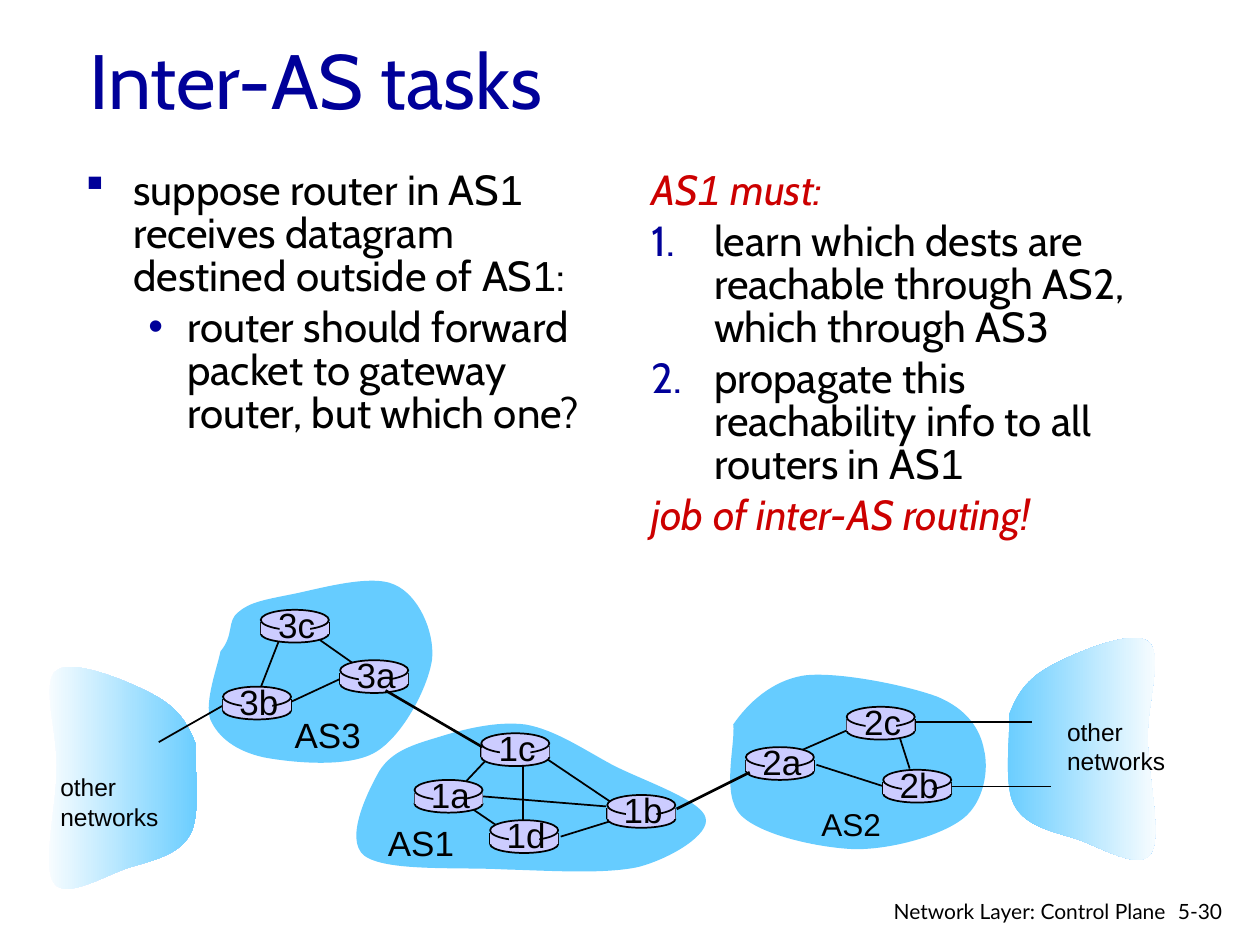
from lxml import etree
from pptx import Presentation
from pptx import util as u
from pptx.dml.color import RGBColor
from pptx.enum import shapes, text
from pptx.oxml import ns

NAVY = RGBColor(0x00, 0x00, 0x99)
RED = RGBColor(0xCC, 0x00, 0x00)
BLACK = RGBColor(0x00, 0x00, 0x00)
WHITE = RGBColor(0xFF, 0xFF, 0xFF)
SKY = RGBColor(0x66, 0xCC, 0xFF)
LILAC = RGBColor(0xCC, 0xCC, 0xFF)
CABIN, ARIAL, LATO = "Cabin", "Arial", "Lato"
OVAL, RECT = shapes.MSO_SHAPE.OVAL, shapes.MSO_SHAPE.RECTANGLE
MID, TOP = text.MSO_ANCHOR.MIDDLE, text.MSO_ANCHOR.TOP
LEFT, RIGHT, CENTER = text.PP_ALIGN.LEFT, text.PP_ALIGN.RIGHT, text.PP_ALIGN.CENTER
MARKS = {"§": "Wingdings", "•": ARIAL}


def inch(n):
    return u.Cm(2.54 * n)


class Deck:
    """Holds the style and the current slide, and draws each kind of element."""

    def __init__(self, wide, high):
        self.pres = Presentation()
        self.pres.slide_width, self.pres.slide_height = inch(wide), inch(high)
        self.slide = self.pres.slides.add_slide(self.pres.slide_layouts[6])
        self.host = self.slide.shapes

    def box(self, place, wrap=True, anchor=TOP, host=None):
        frame = (host or self.host).add_textbox(*map(inch, place)).text_frame
        frame.word_wrap = wrap
        frame.vertical_anchor = anchor
        if not wrap:
            frame.auto_size = text.MSO_AUTO_SIZE.SHAPE_TO_FIT_TEXT
        return frame

    def run(self, para, words, size, font, color=BLACK, slant=False):
        run = para.add_run()
        run.text = words
        run.font.size = u.Pt(size)
        run.font.name = font
        run.font.color.rgb = color
        run.font.italic = slant

    def label(self, place, lines, size, font=ARIAL, color=BLACK, align=LEFT, **opts):
        frame = self.box(place, **opts)
        for i, line in enumerate(lines):
            para = frame.add_paragraph() if i else frame.paragraphs[0]
            para.alignment = align
            self.run(para, line, size, font, color)

    def body(self, place, items):
        frame = self.box(place)
        for i, (level, left, hang, mark, color, runs) in enumerate(items):
            para = frame.add_paragraph() if i else frame.paragraphs[0]
            para.level = level
            para.line_spacing = 0.85
            para.space_before = u.Pt(4.8)
            self.mark(para, left, hang, mark)
            for words, font in runs:
                self.run(para, words, 24, font, color, color == RED)

    def mark(self, para, left, hang, mark):
        props = para._p.get_or_add_pPr()
        props.set("marL", str(inch(left)))
        props.set("indent", str(-inch(hang)))
        if mark:
            tint = etree.SubElement(props, ns.qn("a:buClr"))
            etree.SubElement(tint, ns.qn("a:srgbClr")).set("val", str(NAVY))
            if mark in MARKS:
                etree.SubElement(props, ns.qn("a:buFont")).set("typeface", MARKS[mark])
                etree.SubElement(props, ns.qn("a:buChar")).set("char", mark)
            else:
                etree.SubElement(props, ns.qn("a:buAutoNum")).set("type", "arabicPeriod")

    def shape(self, kind, place, host, edge=False):
        item = host.add_shape(kind, *map(inch, place))
        item.shadow.inherit = False
        item.fill.solid()
        item.fill.fore_color.rgb = LILAC
        if edge:
            item.line.color.rgb = BLACK
            item.line.width = u.Pt(1)
        else:
            item.line.fill.background()

    def link(self, ends, width=1, host=None):
        line = (host or self.host).add_connector(
            shapes.MSO_CONNECTOR.STRAIGHT, *map(inch, ends))
        line.line.color.rgb = BLACK
        line.line.width = u.Pt(width)
        etree.SubElement(line._element.spPr, ns.qn("a:effectLst"))

    def cloud(self, nodes, fade=None):
        dots = [(inch(x), inch(y)) for x, y in nodes]
        pen = self.host.build_freeform(*dots[0])
        pen.add_line_segments(dots[1:], close=True)
        item = pen.convert_to_shape()
        self.bend(item)
        item.shadow.inherit = False
        item.line.fill.background()
        if fade:
            item.fill.gradient()
            item.fill.gradient_angle = 0
            for stop, color in zip(item.fill.gradient_stops, fade):
                stop.color.rgb = color
        else:
            item.fill.solid()
            item.fill.fore_color.rgb = SKY

    def bend(self, item):
        legs = list(item._element.iter(ns.qn("a:lnTo")))
        for i in range(0, len(legs) - 2, 3):
            arc = etree.Element(ns.qn("a:cubicBezTo"))
            legs[i].addprevious(arc)
            for leg in legs[i:i + 3]:
                arc.append(leg[0])
                leg.getparent().remove(leg)

    def router(self, name, x, y):
        host = self.host.add_group_shape().shapes
        self.shape(OVAL, (x, y + 0.12, 0.54, 0.14), host, True)
        for side in (x, x + 0.54):
            self.link((side, y + 0.1, side, y + 0.19), host=host)
        self.shape(RECT, (x, y + 0.1, 0.54, 0.09), host)
        self.shape(OVAL, (x, y, 0.54, 0.16), host, True)
        self.shape(RECT, (x + 0.15, y + 0.02, 0.24, 0.21), host)
        self.label((x + 0.03, y - 0.1, 0.51, 0.43), [name], 20,
                   align=CENTER, wrap=False, host=host)


EAST = [(8.01, 5.67), (8.07, 5.51), (8.15, 5.39), (8.33, 5.29), (8.51, 5.19),
        (8.98, 4.99), (9.11, 5.09), (9.24, 5.18), (9.1, 5.59), (9.11, 5.87),
        (9.11, 6.16), (9.23, 6.65), (9.13, 6.78), (9.04, 6.91), (8.73, 6.72),
        (8.55, 6.66), (8.36, 6.6), (8.14, 6.56), (8.05, 6.39), (7.96, 6.23),
        (8.02, 5.82), (8.01, 5.67)]
WEST = [(9.56 - x, y + 0.23) for x, y in EAST]
AREAS = [
    [(5.82, 5.75), (5.93, 5.59), (6.12, 5.4), (6.39, 5.36), (6.66, 5.33),
     (7.2, 5.44), (7.44, 5.53), (7.68, 5.63), (7.78, 5.79), (7.81, 5.95),
     (7.85, 6.11), (7.81, 6.37), (7.64, 6.5), (7.47, 6.63), (7.09, 6.74),
     (6.79, 6.74), (6.5, 6.73), (6.04, 6.63), (5.88, 6.47), (5.72, 6.31),
     (5.84, 5.9), (5.82, 5.75)],
    [(1.75, 5.17), (1.86, 5.04), (1.8, 4.93), (1.89, 4.86), (1.98, 4.78),
     (2.1, 4.76), (2.3, 4.72), (2.51, 4.68), (2.94, 4.55), (3.13, 4.64),
     (3.32, 4.72), (3.45, 5.01), (3.43, 5.23), (3.4, 5.45), (3.2, 5.84),
     (2.98, 5.97), (2.76, 6.1), (2.3, 6.05), (2.09, 6.01), (1.87, 5.96),
     (1.73, 5.85), (1.67, 5.71), (1.62, 5.57), (1.73, 5.28), (1.75, 5.17)],
    [(3.01, 6.12), (3.11, 5.96), (3.28, 5.91), (3.48, 5.85), (3.67, 5.79),
     (3.94, 5.72), (4.17, 5.75), (4.4, 5.79), (4.62, 5.94), (4.86, 6.07),
     (5.09, 6.19), (5.57, 6.35), (5.6, 6.49), (5.64, 6.62), (5.33, 6.81),
     (5.07, 6.88), (4.8, 6.94), (4.36, 6.91), (4, 6.9), (3.64, 6.88),
     (3.06, 6.92), (2.89, 6.79), (2.73, 6.66), (2.92, 6.28), (3.01, 6.12)],
]
LINKS = [(2.31, 5.57, 2.74, 5.37), (2.81, 5.27, 2.54, 5.08), (2.22, 5.07, 2.06, 5.48),
         (3.87, 6.02, 3.7, 6.2), (4.15, 6.06, 4.15, 6.56), (4.32, 6.01, 4.87, 6.38),
         (4.87, 6.51, 4.45, 6.64), (4.81, 6.4, 3.82, 6.32), (3.72, 6.4, 3.94, 6.55),
         (6.28, 5.99, 6.76, 5.78), (6.48, 6.07, 7.01, 6.24), (7.14, 5.85, 7.22, 6.1),
         (1.77, 5.6, 1.26, 5.89)]
EXITS = [(7.26, 5.73, 8.19, 5.73), (7.53, 6.24, 8.34, 6.24)]
TRUNKS = [(5.37, 6.42, 5.95, 6.13), (3.06, 5.48, 3.83, 5.93)]
NODES = [("3b", 1.77, 5.45), ("3c", 2.07, 4.84), ("3a", 2.7, 5.24),
         ("1c", 3.82, 5.82), ("1a", 3.29, 6.19), ("1d", 3.89, 6.51), ("1b", 4.82, 6.31),
         ("2a", 5.92, 5.93), ("2c", 6.72, 5.61), ("2b", 7.01, 6.11)]
ONE = ("1", ARIAL)
TASK = [
    (0, 0.38, 0.38, "§", BLACK, [
        ("suppose router in AS", CABIN), ONE,
        (" receives datagram destined outside of AS", CABIN), ONE, (":", CABIN)]),
    (1, 0.81, 0.31, "•", BLACK, [
        ("router should forward packet to gateway router, but which one?", CABIN)]),
]
MUST = [(0, 0.5, 0.5, mark, color, runs) for mark, color, runs in (
    (None, RED, [("AS", CABIN), ONE, (" must:", CABIN)]),
    ("1.", BLACK, [("learn which dests are reachable through AS2, which through AS3", CABIN)]),
    ("1.", BLACK, [("propagate this reachability info to all routers in AS", CABIN), ONE]),
    (None, RED, [("job of inter-AS routing!", CABIN)]))]


def main():
    deck = Deck(10, 7.5)
    deck.label((0.61, 0, 8.5, 1.25), ["Inter-AS tasks"], 44, CABIN, NAVY, anchor=MID)
    deck.body((0.58, 1.31, 4.17, 3.19), TASK)
    deck.body((5.07, 1.31, 4.17, 5.08), MUST)
    deck.cloud(EAST, (SKY, WHITE))
    deck.cloud(WEST, (WHITE, SKY))
    for area in AREAS:
        deck.cloud(area)
    for width, group in ((1, LINKS), (0.75, EXITS)):
        for ends in group:
            deck.link(ends, width)
    for node in NODES:
        deck.router(*node)
    for ends in TRUNKS:
        deck.link(ends, 1.5)
    for name, x, y, wide, high, size in (("AS3", 2.24, 5.61, 0.73, 0.43, 20),
                                         ("AS1", 2.98, 6.47, 0.73, 0.43, 20),
                                         ("AS2", 6.42, 6.34, 0.67, 0.4, 18)):
        deck.label((x, y, wide, high), [name], size, wrap=False)
    for x, y in ((8.37, 5.64), (0.38, 6.08)):
        deck.label((x, y, 0.98, 0.57), ["other", "networks"], 14, wrap=False)
    deck.label((9.25, 7.08, 0.6, 0.3), ["5-30"], 12, LATO)
    deck.label((6.97, 7.08, 2.38, 0.26), ["Network Layer: Control Plane"], 12, LATO,
               align=RIGHT)
    deck.pres.save("out.pptx")


if __name__ == "__main__":
    main()
